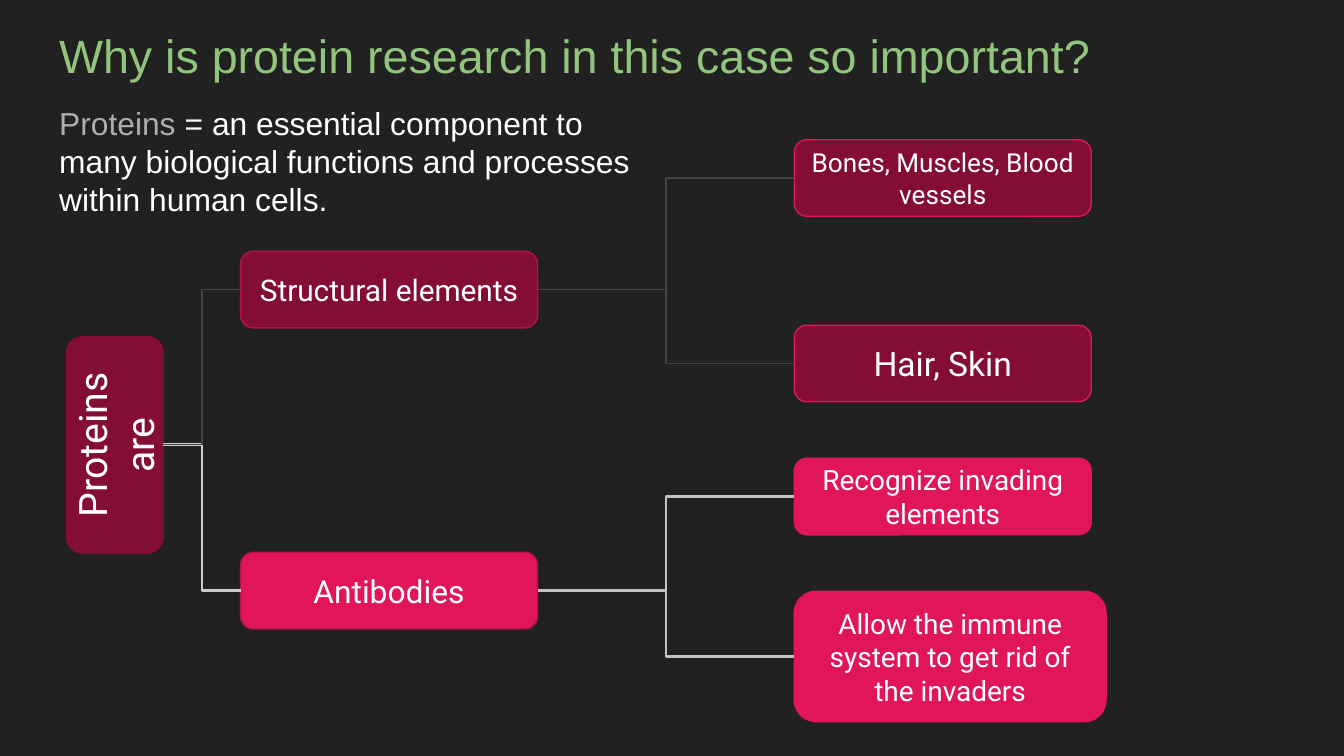
import pptx
import pptx.util
from pptx.dml.color import RGBColor
from pptx.enum.shapes import MSO_CONNECTOR, MSO_SHAPE
from pptx.enum.text import MSO_ANCHOR, MSO_AUTO_SIZE, PP_ALIGN
from pptx.oxml.ns import qn
from pptx.util import Inches
import lxml.etree

COLORS = {
    "background": "212121", "title": "93C47D", "muted": "ADADAD", "white": "FFFFFF",
    "maroon": "840D35", "crimson": "B61249", "pink": "E1165A",
    "dark line": "434343", "light line": "CCCCCC", "silver line": "C2C2C2",
}


def color(name):
    return RGBColor.from_string(COLORS[name])


def write(shape, parts, size, font="Roboto", align=PP_ALIGN.CENTER,
          anchor=MSO_ANCHOR.MIDDLE):
    """Fill a shape with one paragraph made of (text, color name) parts."""
    frame = shape.text_frame
    frame.word_wrap = True
    frame.auto_size = MSO_AUTO_SIZE.NONE
    frame.vertical_anchor = anchor
    frame.margin_left = frame.margin_right = Inches(0.1)
    frame.margin_top = frame.margin_bottom = Inches(0.1)
    para = frame.paragraphs[0]
    para.alignment = align
    para.line_spacing = 1.0
    para.space_before = pptx.util.Pt(0)
    for text, color_name in parts:
        span = para.add_run()
        span.text = text
        span.font.size = pptx.util.Pt(size)
        span.font.name = font
        span.font.color.rgb = color(color_name)
    return para


deck = pptx.Presentation()
deck.slide_width = Inches(10)
deck.slide_height = deck.slide_width * 9 // 16
page = deck.slides.add_slide(deck.slide_layouts[1])
page.background.fill.solid()
page.background.fill.fore_color.rgb = color("background")

# Title and definition
title, body = page.placeholders
title.left, title.top, title.width, title.height = map(Inches, (0.34, 0.1, 9.32, 0.67))
write(title, [("Why is protein research in this case so important?", "title")], 25,
      font="Arial", align=PP_ALIGN.LEFT, anchor=MSO_ANCHOR.TOP)

body.left, body.top, body.width, body.height = map(Inches, (0.34, 0.67, 4.47, 1.36))
definition = write(body, [
    ("Proteins ", "muted"),
    ("= an essential component to many biological functions and processes "
     "within human cells.", "white"),
], 17, font="Arial", align=PP_ALIGN.LEFT, anchor=MSO_ANCHOR.TOP)
properties = definition._p.get_or_add_pPr()
properties.set("marL", "0")
properties.set("indent", "0")
lxml.etree.SubElement(properties, qn("a:buNone"))

# Boxes: text, left, top, width, height, size, fill, line, rotation
ROOT, STRUCTURE, ANTIBODIES = "Proteins are", "Structural elements", "Antibodies"
BONES, HAIR = "Bones, Muscles, Blood vessels", "Hair, Skin"
RECOGNIZE = "Recognize invading elements"
REMOVE = "Allow the immune system to get rid of the invaders"
BRANCH_LEFT, LEAF_LEFT, BOX_WIDTH, BOX_HEIGHT = 1.79, 5.91, 2.21, 0.57

boxes = {}
for text, left, top, width, height, size, fill, line, rotation in [
    (ROOT, 0.05, 2.95, 1.61, 0.72, 21, "maroon", "maroon", 270),
    (STRUCTURE, BRANCH_LEFT, 1.87, BOX_WIDTH, BOX_HEIGHT, 16, "maroon", "crimson", 0),
    (ANTIBODIES, BRANCH_LEFT, 4.11, BOX_WIDTH, BOX_HEIGHT, 17, "pink", "crimson", 0),
    (BONES, LEAF_LEFT, 1.04, BOX_WIDTH, BOX_HEIGHT, 14, "maroon", "pink", 0),
    (HAIR, LEAF_LEFT, 2.42, BOX_WIDTH, BOX_HEIGHT, 18, "maroon", "pink", 0),
    (RECOGNIZE, LEAF_LEFT, 3.41, BOX_WIDTH, BOX_HEIGHT, 15, "pink", "pink", 0),
    (REMOVE, LEAF_LEFT, 4.4, 2.32, 0.97, 15, "pink", "pink", 0),
]:
    box = page.shapes.add_shape(MSO_SHAPE.ROUNDED_RECTANGLE, Inches(left), Inches(top),
                                Inches(width), Inches(height))
    box.rotation = rotation
    box.shadow.inherit = False
    box.fill.solid()
    box.fill.fore_color.rgb = color(fill)
    box.line.color.rgb = color(line)
    box.line.width = pptx.util.Pt(0.75)
    write(box, [(text, "white")], size)
    boxes[text] = box

# Elbow connectors from each parent's right side to the child's left side
for parent, child, line, weight in [
    (ROOT, ANTIBODIES, "light line", 1.5),
    (ROOT, STRUCTURE, "dark line", 0.75),
    (STRUCTURE, BONES, "dark line", 0.75),
    (STRUCTURE, HAIR, "dark line", 0.75),
    (ANTIBODIES, RECOGNIZE, "silver line", 1.5),
    (ANTIBODIES, REMOVE, "silver line", 1.5),
]:
    start, end = boxes[parent], boxes[child]
    # The root is turned on its side, so its height runs across the page
    across = start.height if start.rotation else start.width
    elbow = page.shapes.add_connector(
        MSO_CONNECTOR.ELBOW,
        start.left + (start.width + across) // 2, start.top + start.height // 2,
        end.left, end.top + end.height // 2)
    if not start.rotation:
        elbow.begin_connect(start, 3)
    elbow.end_connect(end, 1)
    elbow.line.color.rgb = color(line)
    elbow.line.width = pptx.util.Pt(weight)
    lxml.etree.SubElement(elbow._element.spPr, qn("a:effectLst"))

deck.save("out.pptx")
